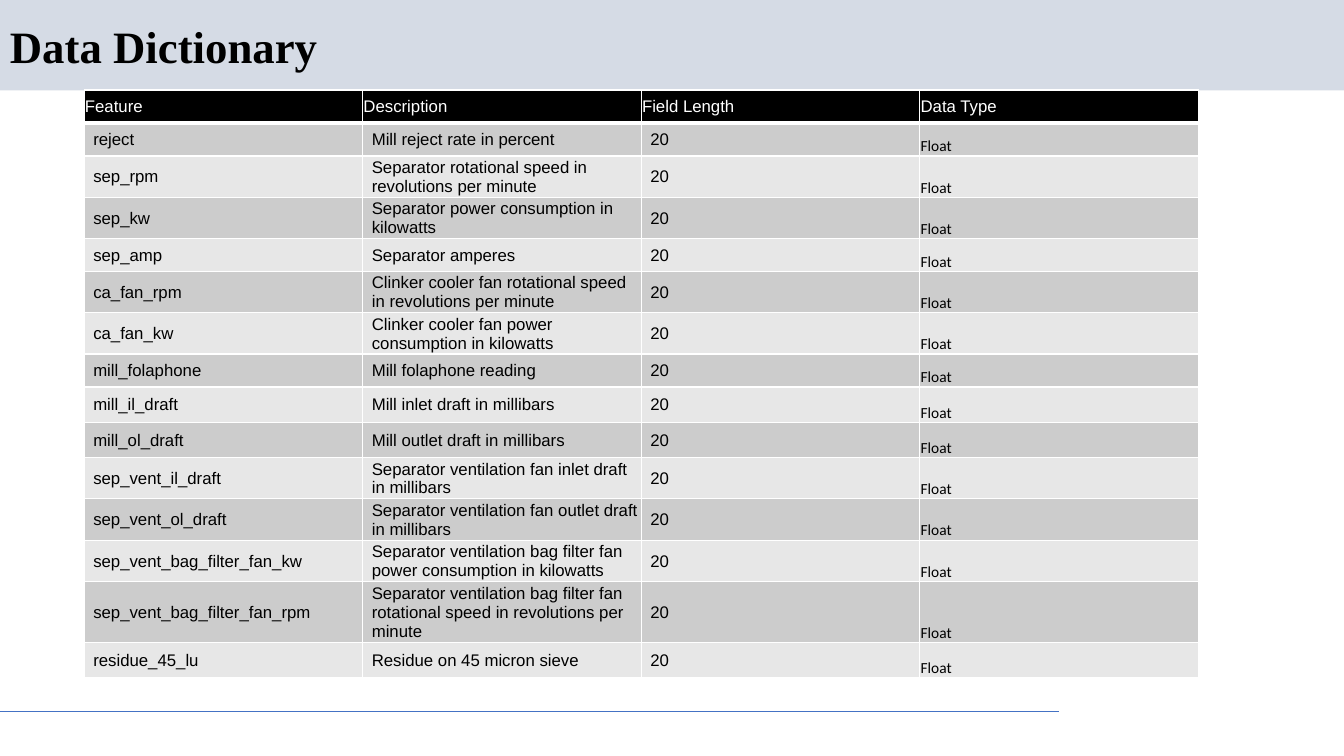
from lxml import etree
from pptx import Presentation
from pptx import util as u
from pptx.dml.color import RGBColor
from pptx.enum import shapes, text
from pptx.oxml.ns import qn

BLACK = RGBColor(0x00, 0x00, 0x00)
WHITE = RGBColor(0xFF, 0xFF, 0xFF)
BAND = RGBColor(0xD5, 0xDB, 0xE5)
RULE = RGBColor(0x44, 0x72, 0xC4)
ROW_FILLS = (RGBColor(0xCC, 0xCC, 0xCC), RGBColor(0xE7, 0xE7, 0xE7))

# Row heights in cm, by the amount of text
LOW, MID, TWO_LINES, THREE_LINES = 0.83, 0.89, 1.04, 1.53

HEADERS = ("Feature", "Description", "Field Length", "Data Type")
FEATURES = [
    ("reject", "Mill reject rate in percent", LOW),
    ("sep_rpm", "Separator rotational speed in revolutions per minute", TWO_LINES),
    ("sep_kw", "Separator power consumption in kilowatts", TWO_LINES),
    ("sep_amp", "Separator amperes", LOW),
    ("ca_fan_rpm", "Clinker cooler fan rotational speed in revolutions per minute", TWO_LINES),
    ("ca_fan_kw", "Clinker cooler fan power consumption in kilowatts", TWO_LINES),
    ("mill_folaphone", "Mill folaphone reading", LOW),
    ("mill_il_draft", "Mill inlet draft in millibars", MID),
    ("mill_ol_draft", "Mill outlet draft in millibars", MID),
    ("sep_vent_il_draft", "Separator ventilation fan inlet draft in millibars", TWO_LINES),
    ("sep_vent_ol_draft", "Separator ventilation fan outlet draft in millibars", TWO_LINES),
    ("sep_vent_bag_filter_fan_kw",
     "Separator ventilation bag filter fan power consumption in kilowatts", TWO_LINES),
    ("sep_vent_bag_filter_fan_rpm",
     "Separator ventilation bag filter fan rotational speed in revolutions per minute",
     THREE_LINES),
    ("residue_45_lu", "Residue on 45 micron sieve", MID),
]


def write(tf, content, font="Arial", size=12, color=BLACK, bold=False, spacing=None):
    p = tf.paragraphs[0]
    p.alignment = text.PP_ALIGN.LEFT
    if spacing:
        p.line_spacing = spacing
    r = p.add_run()
    r.text = content
    r.font.name, r.font.size, r.font.bold = font, u.Pt(size), bold
    r.font.color.rgb = color


class SlideBuilder:
    font = "Arial"
    title_font = "Times New Roman"
    type_font = "Calibri"

    def __init__(self, prs):
        self.slide = prs.slides.add_slide(prs.slide_layouts[6])

    def band(self, x, y, w, h, fill):
        sp = self.slide.shapes.add_shape(
            shapes.MSO_SHAPE.RECTANGLE, u.Cm(x), u.Cm(y), u.Cm(w), u.Cm(h))
        sp.shadow.inherit = False
        sp.fill.solid()
        sp.fill.fore_color.rgb = fill
        sp.line.fill.background()

    def rule(self, x1, x2, y, color, width):
        line = self.slide.shapes.add_connector(
            shapes.MSO_CONNECTOR.STRAIGHT, u.Cm(x1), u.Cm(y), u.Cm(x2), u.Cm(y))
        line.line.color.rgb = color
        line.line.width = u.Pt(width)
        etree.SubElement(line._element.spPr, qn("a:effectLst"))

    def title(self, content, x, y, w, h):
        tf = self.slide.shapes.add_textbox(u.Cm(x), u.Cm(y), u.Cm(w), u.Cm(h)).text_frame
        tf.word_wrap = True
        tf.vertical_anchor = text.MSO_ANCHOR.MIDDLE
        write(tf, content, font=self.title_font, size=32, bold=True, spacing=0.9)

    def borders(self, cell, bottom):
        tc_pr = cell._tc.get_or_add_tcPr()
        widths = {"lnL": 1, "lnR": 1, "lnT": 1, "lnB": bottom}
        for i, (side, width) in enumerate(widths.items()):
            ln = etree.Element(qn(f"a:{side}"), w=str(u.Pt(width)))
            fill = etree.SubElement(ln, qn("a:solidFill"))
            etree.SubElement(fill, qn("a:srgbClr"), val=str(WHITE))
            tc_pr.insert(i, ln)

    def cell(self, cell, content, fill, indent=0.02, bottom=1,
             anchor=text.MSO_ANCHOR.MIDDLE, **style):
        cell.margin_left = u.Cm(indent)
        cell.margin_right = cell.margin_top = u.Cm(0.02)
        cell.margin_bottom = 0
        cell.vertical_anchor = anchor
        cell.fill.solid()
        cell.fill.fore_color.rgb = fill
        self.borders(cell, bottom)
        write(cell.text_frame, content, **style)

    def table(self, x, y, col_width, headers, features):
        heights = [LOW] + [height for *_, height in features]
        table = self.slide.shapes.add_table(
            len(heights), len(headers), u.Cm(x), u.Cm(y),
            u.Cm(col_width * len(headers)), u.Cm(sum(heights))).table
        for col in table.columns:
            col.width = u.Cm(col_width)
        for row, height in zip(table.rows, heights):
            row.height = u.Cm(height)
        for c, header in enumerate(headers):
            self.cell(table.cell(0, c), header, BLACK, bottom=3,
                      font=self.font, color=WHITE)
        for r, (name, description, _) in enumerate(features, start=1):
            fill = ROW_FILLS[(r - 1) % 2]
            for c, content in enumerate((name, description, "20")):
                self.cell(table.cell(r, c), content, fill, indent=0.23, font=self.font)
            self.cell(table.cell(r, 3), "Float", fill, anchor=text.MSO_ANCHOR.BOTTOM,
                      font=self.type_font, size=11)


def main():
    prs = Presentation()
    prs.slide_width, prs.slide_height = u.Cm(33.87), u.Cm(19.05)
    s = SlideBuilder(prs)

    # Header band and footer rule
    s.band(0, 0, 33.87, 2.28, BAND)
    s.rule(0, 26.69, 17.93, RULE, 0.75)

    # Title
    s.title("Data Dictionary", 0, 0.48, 29.21, 1.5)

    # Feature table
    s.table(2.12, 2.27, 7.02, HEADERS, FEATURES)

    prs.save("out.pptx")


if __name__ == "__main__":
    main()
